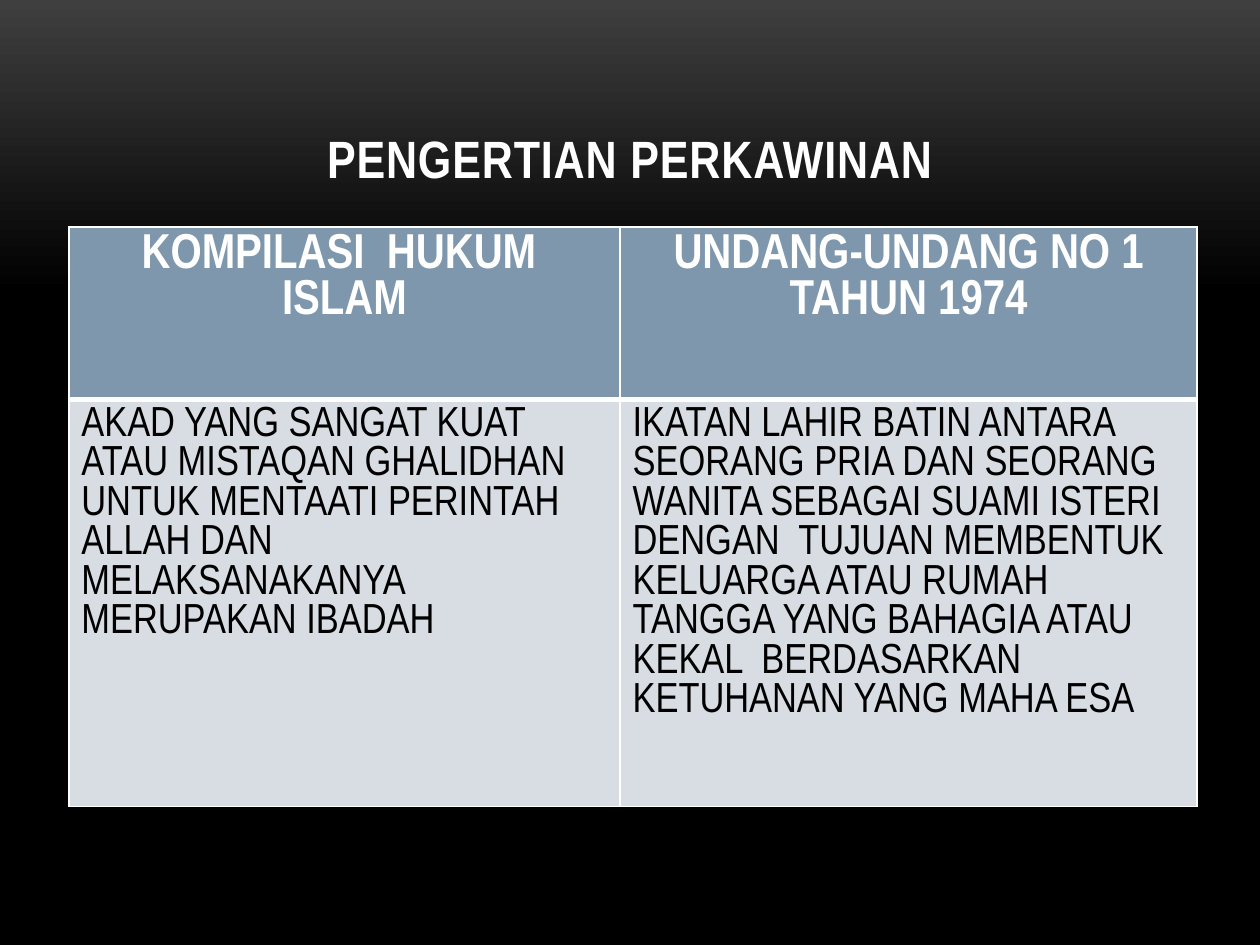
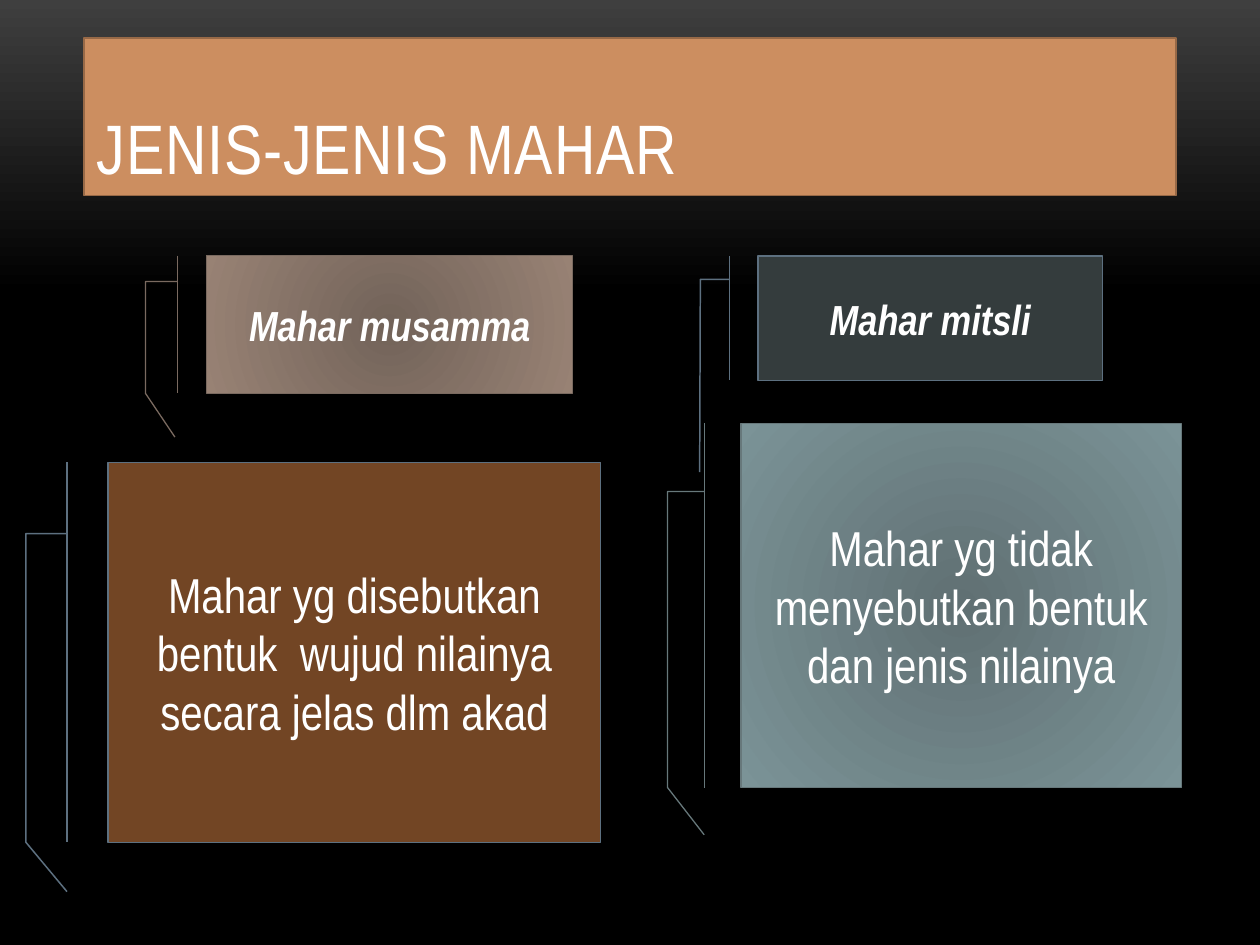
from typing import NamedTuple

from lxml.etree import SubElement
from pptx import Presentation
from pptx.dml.color import RGBColor
from pptx.dml.fill import FillFormat
from pptx.enum.shapes import MSO_SHAPE
from pptx.enum.text import MSO_ANCHOR, MSO_AUTO_SIZE, PP_ALIGN
from pptx.oxml.ns import qn
from pptx.presentation import Presentation as Deck
from pptx.shapes.autoshape import Shape
from pptx.slide import Slide
from pptx.table import _Cell
from pptx.text.text import TextFrame, _Run
from pptx.util import Inches, Pt

WIDTH, HEIGHT = Inches(10), Inches(7.5)
COLUMN, ROW = WIDTH / 100, HEIGHT / 75  # a grid of 100 columns and 75 rows

FONT = "Arial Narrow"
WHITE, BLACK, TOP_GLOW = "FFFFFF", "000000", "3F3F3F"
HEADER_FILL, BODY_FILL = "7E97AD", "D8DDE3"
BAND_FILL, BAND_LINE = "CC8E60", "976947"
SLATE_LINE = "5D7080"
TITLE_ONLY = 5


class Box(NamedTuple):
    """A place on the grid, in columns and rows."""
    x: float
    y: float
    w: float
    h: float


class TextStyle(NamedTuple):
    size: int
    color: str = WHITE
    bold: bool = False
    italic: bool = False
    align: PP_ALIGN = PP_ALIGN.CENTER


class Callout(NamedTuple):
    text: str
    box: Box
    colors: tuple[str, ...]
    line: str
    line_width: float
    style: TextStyle
    kind: MSO_SHAPE
    leader: tuple[float, ...]


TITLE_BOX = Box(6.67, 3, 86.67, 12.5)
TABLE_BOX = Box(5.46, 18, 89.6, 46)
TABLE_COLUMNS, TABLE_ROWS = (43.75, 45.8), (13.7, 32.3)

TABLE_HEADER = TextStyle(28, bold=True)
TABLE_BODY = TextStyle(24, BLACK, align=PP_ALIGN.LEFT)
TERM = TextStyle(24, bold=True, italic=True)
MEANING = TextStyle(28)

SHORT_LEADER = MSO_SHAPE.LINE_CALLOUT_2_BORDER_AND_ACCENT_BAR
LONG_LEADER = MSO_SHAPE.LINE_CALLOUT_4_BORDER_AND_ACCENT_BAR
PLAIN_LEADER = (0.1875, -0.0833, 0.1875, -0.1667, 1, -0.1667, 1.13, -0.0833)

DEFINITIONS = (
    ("KOMPILASI  HUKUM  ISLAM", "UNDANG-UNDANG NO 1 TAHUN 1974"),
    ("AKAD YANG SANGAT KUAT ATAU MISTAQAN GHALIDHAN UNTUK MENTAATI PERINTAH "
     "ALLAH DAN  MELAKSANAKANYA MERUPAKAN IBADAH",
     "IKATAN LAHIR BATIN ANTARA SEORANG PRIA DAN SEORANG WANITA SEBAGAI SUAMI "
     "ISTERI  DENGAN  TUJUAN MEMBENTUK KELUARGA ATAU RUMAH TANGGA YANG BAHAGIA "
     "ATAU KEKAL  BERDASARKAN KETUHANAN YANG MAHA ESA"),
)

CALLOUTS = (
    Callout("Mahar musamma", Box(16.4, 20.3, 29.05, 10.93), ("726359", "988274"),
            "7A6A60", 0.75, TERM, LONG_LEADER,
            (0.188, -0.079, 0.188, -0.167, 1, -0.167, 1.317, -0.087)),
    Callout("Mahar yg disebutkan bentuk  wujud nilainya secara jelas dlm akad",
            Box(8.57, 36.7, 39.1, 30.15), ("724524",), SLATE_LINE, 0.85, MEANING,
            LONG_LEADER, PLAIN_LEADER),
    Callout("Mahar yg tidak menyebutkan bentuk dan jenis nilainya",
            Box(58.8, 33.6, 34.95, 28.9), ("607073", "7B9397"), "67787B", 0.75,
            MEANING, LONG_LEADER, PLAIN_LEADER),
    Callout("Mahar mitsli", Box(60.15, 20.32, 27.35, 9.87), ("343C3D",), SLATE_LINE,
            0.85, TERM, SHORT_LEADER,
            (0.188, -0.083, 0.188, -0.167, 1.737, -0.169)),
)


def rgb(value: str) -> RGBColor:
    return RGBColor.from_string(value)


def place(box: Box) -> tuple[int, int, int, int]:
    return (round(box.x * COLUMN), round(box.y * ROW),
            round(box.w * COLUMN), round(box.h * ROW))


def paint(fill: FillFormat, *colors: str, second_at: float = 1) -> None:
    """Fill with one colour, or with a gradient of two."""
    if len(colors) == 1:
        fill.solid()
        fill.fore_color.rgb = rgb(colors[0])
        return
    fill.gradient()
    for stop, color, position in zip(fill.gradient_stops, colors, (0, second_at)):
        stop.color.rgb = rgb(color)
        stop.position = position


def make_radial(s: Shape) -> None:
    """Let the gradient of a shape run from its centre outwards."""
    gradient = s._element.spPr.find(qn("a:gradFill"))
    gradient.remove(gradient.find(qn("a:lin")))
    circle = SubElement(gradient, qn("a:path"), path="circle")
    SubElement(circle, qn("a:fillToRect"), {side: "100000" for side in "ltrb"})


def outline(s: Shape, color: str, width: float) -> None:
    s.line.color.rgb = rgb(color)
    s.line.width = Pt(width)


def write(tf: TextFrame, text: str, style: TextStyle) -> _Run:
    tf.word_wrap = True
    p = tf.paragraphs[0]
    p.alignment = style.align
    r = p.add_run()
    r.text = text
    r.font.name, r.font.size = FONT, Pt(style.size)
    r.font.bold, r.font.italic = style.bold, style.italic
    r.font.color.rgb = rgb(style.color)
    return r


def add_titled_slide(prs: Deck, title: str, style: TextStyle) -> Slide:
    s = prs.slides.add_slide(prs.slide_layouts[TITLE_ONLY])
    sp = s.shapes.title
    sp.left, sp.top, sp.width, sp.height = place(TITLE_BOX)
    tf = sp.text_frame
    tf.auto_size, tf.vertical_anchor = MSO_AUTO_SIZE.NONE, MSO_ANCHOR.BOTTOM
    r = write(tf, title, style)
    r.font._element.set("spc", "50")
    return s


def add_borders(cell: _Cell, bottom: float) -> None:
    """Draw white cell edges; they must stand before the cell's fill."""
    properties = cell._tc.get_or_add_tcPr()
    for tag, width in (("a:lnL", 1), ("a:lnR", 1), ("a:lnT", 1), ("a:lnB", bottom)):
        ln = SubElement(properties, qn(tag), w=str(Pt(width)))
        SubElement(SubElement(ln, qn("a:solidFill")), qn("a:srgbClr"), val=WHITE)


def add_definitions(s: Slide) -> None:
    table = s.shapes.add_table(2, 2, *place(TABLE_BOX)).table
    table.horz_banding = False
    for column, width in zip(table.columns, TABLE_COLUMNS):
        column.width = round(width * COLUMN)
    looks = ((TABLE_HEADER, HEADER_FILL, 3), (TABLE_BODY, BODY_FILL, 1))
    for row, height, texts, look in zip(table.rows, TABLE_ROWS, DEFINITIONS, looks):
        row.height = round(height * ROW)
        style, color, bottom = look
        for cell, text in zip(row.cells, texts):
            add_borders(cell, bottom)
            paint(cell.fill, color)
            write(cell.text_frame, text, style)


def add_callout(s: Slide, callout: Callout) -> None:
    sp = s.shapes.add_shape(callout.kind, *place(callout.box))
    sp.shadow.inherit = False
    for i, value in enumerate(callout.leader):
        sp.adjustments[i] = value
    paint(sp.fill, *callout.colors)
    if len(callout.colors) > 1:
        make_radial(sp)
    outline(sp, callout.line, callout.line_width)
    sp.text_frame.vertical_anchor = MSO_ANCHOR.MIDDLE
    write(sp.text_frame, callout.text, callout.style)


def main() -> None:
    prs = Presentation()
    prs.slide_width, prs.slide_height = WIDTH, HEIGHT
    backdrop = prs.slide_master.background.fill
    paint(backdrop, TOP_GLOW, BLACK, second_at=0.31)
    backdrop.gradient_angle = 270

    add_definitions(add_titled_slide(
        prs, "PENGERTIAN PERKAWINAN", TextStyle(30, bold=True)))

    s = add_titled_slide(
        prs, "JENIS-JENIS MAHAR", TextStyle(40, align=PP_ALIGN.LEFT))
    paint(s.shapes.title.fill, BAND_FILL)
    outline(s.shapes.title, BAND_LINE, 0.85)
    for callout in CALLOUTS:
        add_callout(s, callout)

    prs.save("out.pptx")


if __name__ == "__main__":
    main()
